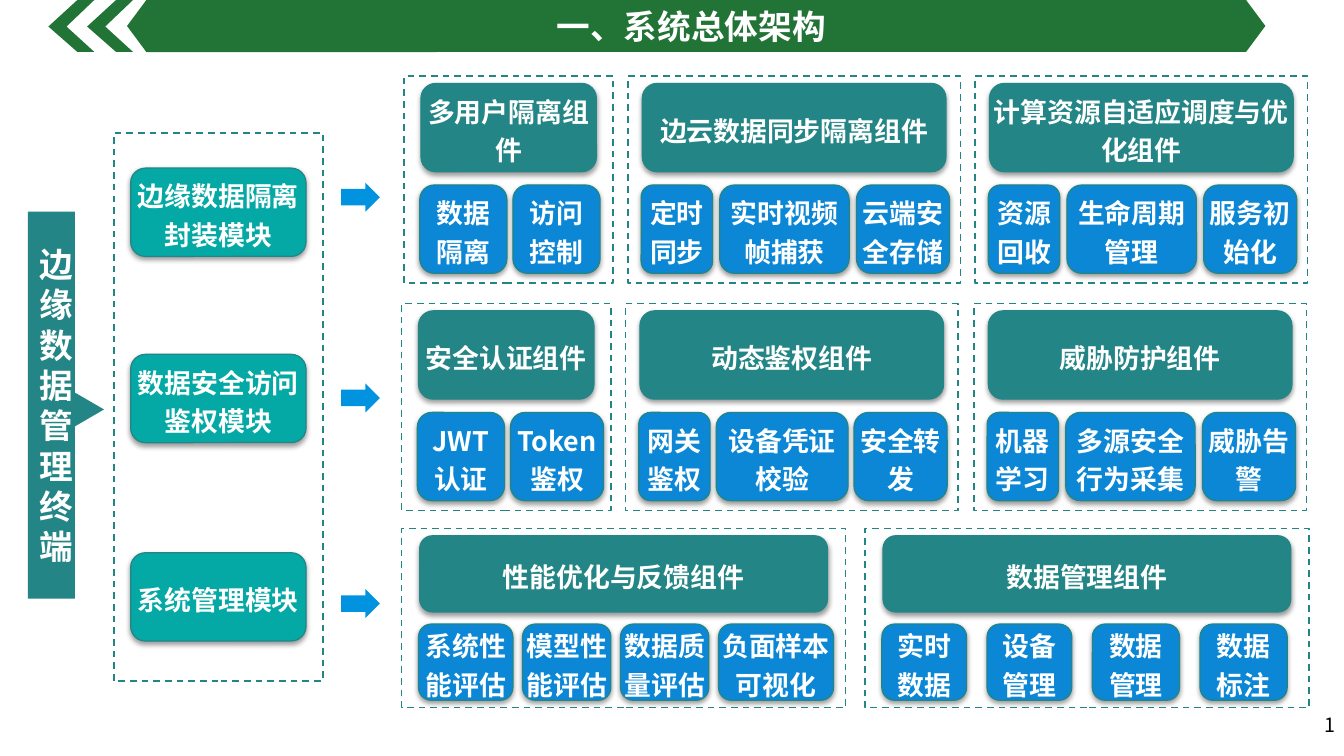
from dataclasses import dataclass

from lxml.etree import SubElement
from pptx import Presentation
from pptx.dml.color import RGBColor
from pptx.enum.dml import MSO_LINE
from pptx.enum.shapes import MSO_SHAPE as Kind
from pptx.enum.text import MSO_ANCHOR as Anchor, PP_ALIGN as Align
from pptx.oxml.ns import qn
from pptx.util import Inches, Pt

# Content: modules are (name, row, arrow row)
TITLE = "一、系统总体架构"
TERMINAL = "边缘数据管理终端"
PAGE_NUMBER = "1"
MODULES = [
    ("边缘数据隔离封装模块", 139, 147),
    ("数据安全访问鉴权模块", 293, 313),
    ("系统管理模块", 457, 483),
]

# Bands are (top, height, block height, item offset, panels)
# Panels are (left, width, side margin, item gap, header, items with widths)
BANDS = [
    (63, 171, 73, 90, [
        (334, 173, 14, 5, "多用户隔离组件", [("数据隔离", 72), ("访问控制", 72)]),
        (519, 275, 12, 6, "边云数据同步隔离组件",
         [("定时同步", 59), ("实时视频帧捕获", 107), ("云端安全存储", 77)]),
        (806, 275, 12, 6, "计算资源自适应调度与优化组件",
         [("资源回收", 59), ("生命周期管理", 107), ("服务初始化", 77)]),
    ]),
    (251, 171, 73, 90, [
        (332, 173, 14, 5, "安全认证组件", [("JWT认证", 72), ("Token鉴权", 77)]),
        (517, 275, 12, 5, "动态鉴权组件",
         [("网关鉴权", 59), ("设备凭证校验", 109), ("安全转发", 77)]),
        (805, 275, 12, 6, "威胁防护组件",
         [("机器学习", 59), ("多源安全行为采集", 107), ("威胁告警", 77)]),
    ]),
    (437, 148, 63, 79, [
        (332, 367, 15, 8, "性能优化与反馈组件",
         [("系统性能评估", 78), ("模型性能评估", 73), ("数据质量评估", 73), ("负面样本可视化", 95)]),
        (715, 367, 15, 17, "数据管理组件",
         [("实时数据", 70), ("设备管理", 70), ("数据管理", 72), ("数据标注", 72)]),
    ]),
]


@dataclass(frozen=True)
class Theme:
    font: str = "Noto Sans CJK SC"
    teal: str = "238586"
    mint: str = "04A8A4"
    blue: str = "0B87D6"
    arrow: str = "0293E0"
    green: str = "217436"
    white: str = "FFFFFF"
    black: str = "000000"
    large: float = 20
    body: float = 16
    small: float = 11.7


THEME = Theme()

# Grid of 1111 columns by 625 rows
COLUMNS, ROWS = 1111, 625
CELL = Inches(0.01)
BANNER_HEIGHT = 43

deck = Presentation()
deck.slide_width, deck.slide_height = COLUMNS * CELL, ROWS * CELL
page = deck.slides.add_slide(deck.slide_layouts[6])


def cells(*values):
    return [round(value * CELL) for value in values]


def write(box, text, size, color=THEME.white, bold=True, align=Align.CENTER,
          anchor=Anchor.MIDDLE, spacing=None, insets=(10, 5)):
    frame = box.text_frame
    side, edge = cells(*insets)
    layout = dict(word_wrap=True, vertical_anchor=anchor, margin_left=side,
                  margin_right=side, margin_top=edge, margin_bottom=edge)
    para = frame.paragraphs[0]
    span = para.add_run()
    span.text = text
    formats = [
        (frame, layout),
        (para, dict(alignment=align, line_spacing=spacing)),
        (span.font, dict(name=THEME.font, size=Pt(size), bold=bold)),
    ]
    for target, values in formats:
        for name, value in values.items():
            setattr(target, name, value)
    span.font.color.rgb = RGBColor.from_string(color)
    SubElement(span.font._element, qn("a:ea"), typeface=THEME.font)


def paint(box, fill=None, line=None, width=1):
    box.shadow.inherit = False
    if fill:
        box.fill.solid()
        box.fill.fore_color.rgb = RGBColor.from_string(fill)
    else:
        box.fill.background()
    if line:
        box.line.color.rgb = RGBColor.from_string(line)
        box.line.width = Pt(width)
    else:
        box.line.fill.background()


def add_box(kind, place, rotation=0, adjust=(), **style):
    box = page.shapes.add_shape(kind, *cells(*place))
    box.rotation = rotation
    for index, value in enumerate(adjust):
        box.adjustments[index] = value
    paint(box, **style)
    return box


def add_block(text, place, fill):
    block = add_box(Kind.ROUNDED_RECTANGLE, place, fill=fill, line=THEME.teal, width=0.75)
    effects = block._element.spPr.find(qn("a:effectLst"))
    shadow = SubElement(effects, qn("a:outerShdw"), blurRad=str(Pt(3.1)),
                        dist=str(Pt(1.6)), dir="5400000", rotWithShape="0")
    tone = SubElement(shadow, qn("a:srgbClr"), val=THEME.black)
    SubElement(tone, qn("a:alpha"), val="38000")
    write(block, text, THEME.body, spacing=1.2, insets=(0, 5))


def add_panel(*place):
    panel = add_box(Kind.RECTANGLE, place, line=THEME.teal)
    panel.line.dash_style = MSO_LINE.DASH


# Page number
number = page.shapes.add_textbox(*cells(727, 586, 383, 33))
write(number, PAGE_NUMBER, THEME.small, THEME.black, False, Align.RIGHT,
      Anchor.TOP, insets=(6, 3))

# Terminal bar with its pointer
terminal = add_box(Kind.RECTANGLE, (23, 175, 39, 320), fill=THEME.teal)
write(terminal, TERMINAL, THEME.large)
add_box(Kind.ISOSCELES_TRIANGLE, (59, 326, 29, 25), rotation=90, fill=THEME.teal)

# Modules and arrows
add_panel(94, 110, 173, 453)
for name, top, arrow_top in MODULES:
    add_block(name, (108, top, 145, 73), THEME.mint)
    add_box(Kind.DOWN_ARROW, (286, arrow_top, 24, 32), rotation=270,
            adjust=(0.566, 0.5), fill=THEME.arrow)

# Component panels
for top, height, block_height, item_offset, panels in BANDS:
    for left, width, margin, gap, header, items in panels:
        add_panel(left, top, width, height)
        add_block(header, (left + margin, top + 6, width - 2 * margin, block_height),
                  THEME.teal)
        item_left = left + margin - 1
        for name, item_width in items:
            add_block(name, (item_left, top + item_offset, item_width, block_height),
                      THEME.blue)
            item_left += item_width + gap

# Title banner
for left, width, rotation in [(105, 256, 180), (279, 767, 0)]:
    add_box(Kind.CHEVRON, (left, 0, width, BANNER_HEIGHT), rotation,
            adjust=(0.371,), fill=THEME.green)
banner = add_box(Kind.RECTANGLE, (123, 1, 897, BANNER_HEIGHT - 1), fill=THEME.green)
write(banner, TITLE, THEME.large, anchor=Anchor.TOP, insets=(8, 4))
for left in (72, 40):
    outline = [(left + 24, 0), (left + 38, 0), (left + 15, BANNER_HEIGHT / 2),
               (left + 38, BANNER_HEIGHT), (left + 24, BANNER_HEIGHT),
               (left, BANNER_HEIGHT / 2)]
    builder = page.shapes.build_freeform(*outline[0], scale=CELL)
    builder.add_line_segments(outline[1:], close=True)
    paint(builder.convert_to_shape(), fill=THEME.green)

deck.save("out.pptx")
